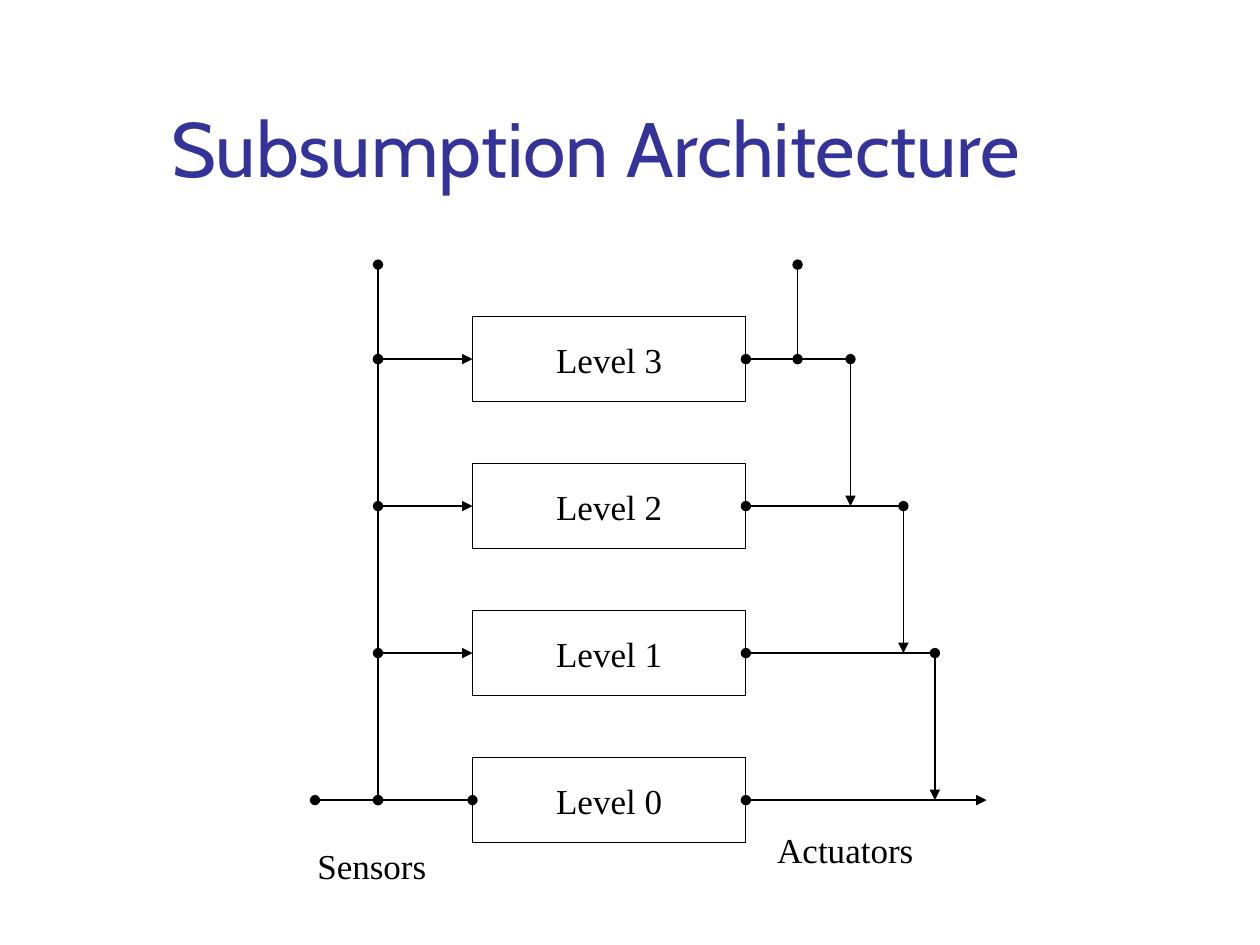
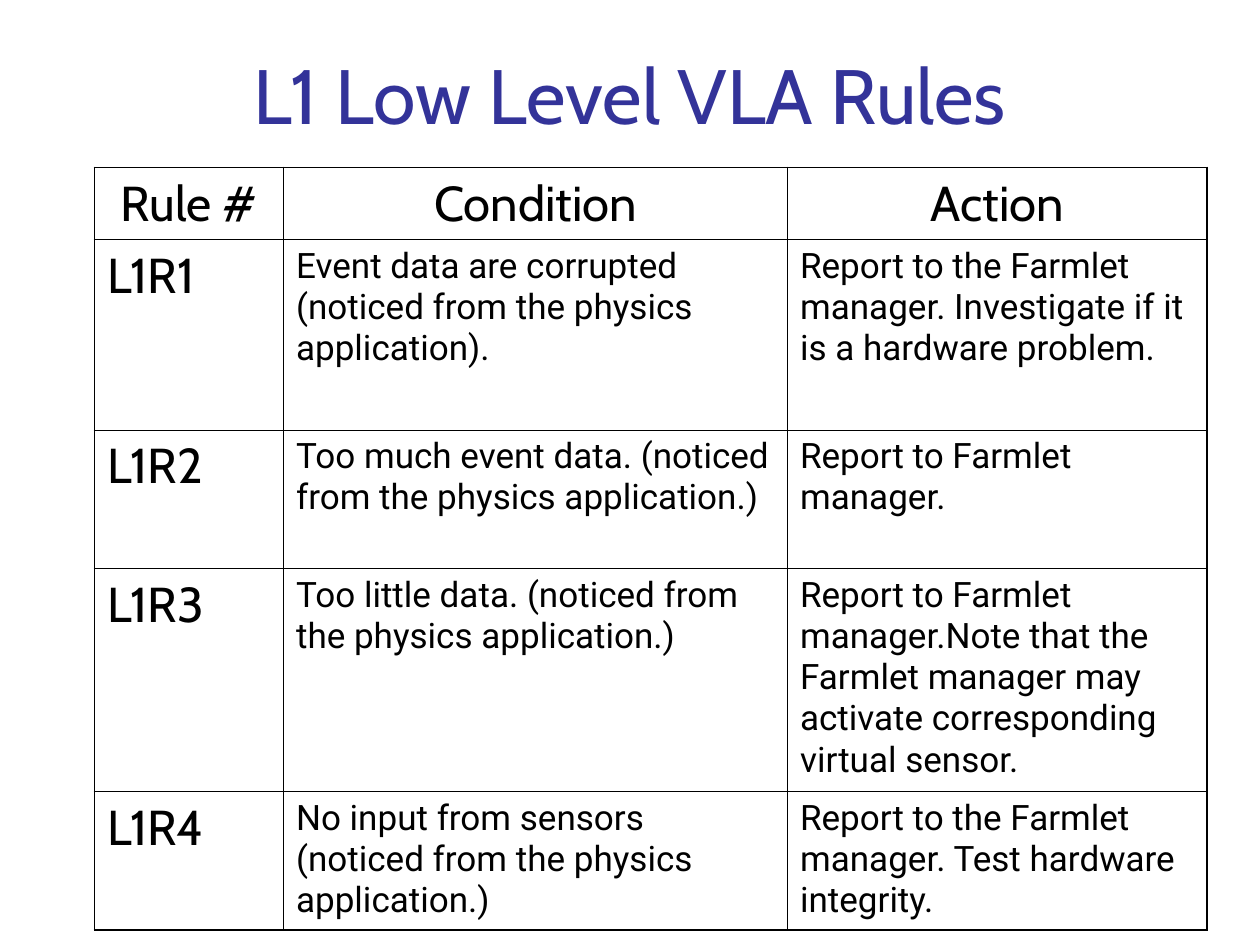
from pptx import Presentation
from pptx.dml.color import RGBColor
from pptx.enum.shapes import MSO_CONNECTOR, MSO_SHAPE
from pptx.enum.text import MSO_ANCHOR, MSO_AUTO_SIZE, PP_ALIGN
from pptx.oxml import parse_xml
from pptx.oxml.ns import nsdecls, qn
from pptx.util import Inches, Pt

BLACK, TITLE_BLUE = "000000", "333399"
HEADING_FONT, BODY_FONT, DIAGRAM_FONT = "Cabin", "Roboto", "Times New Roman"
TITLE_ONLY = 5

# Diagram geometry in inches
LEVELS = ["Level 3", "Level 2", "Level 1", "Level 0"]
LEVEL_LEFT, LEVEL_WIDTH, LEVEL_HEIGHT = 3.75, 2.17, 0.67
LEVEL_RIGHT = LEVEL_LEFT + LEVEL_WIDTH
FIRST_LEVEL_Y, LAST_LEVEL_Y = 2.85, 6.35
LEVEL_PITCH = (LAST_LEVEL_Y - FIRST_LEVEL_Y) / (len(LEVELS) - 1)
TOP_Y = 2.1
SENSOR_BUS_X, SENSOR_INPUT_X = 3, 2.5
UPPER_OUTPUT_X = 6.33
OUTPUT_ENDS = [6.75, 7.17, 7.42, 7.83]

# Rules table
COLUMN_WIDTHS = [1.5, 4, 3.33]
ROW_HEIGHTS = [0.57, 1.51, 1.1, 1.77, 1.1]
OUTER_BORDER, INNER_BORDER = 1.08, 0.45
RULES = [
    ("Rule #", "Condition", "Action"),
    ("L1R1",
     "Event data are corrupted (noticed from the physics application).",
     "Report to the Farmlet manager. Investigate if it is a hardware problem."),
    ("L1R2",
     "Too much event data. (noticed from the physics application.)",
     "Report to Farmlet manager."),
    ("L1R3",
     "Too little data. (noticed from the physics application.)",
     "Report to Farmlet manager.Note that the Farmlet manager may activate "
     "corresponding virtual sensor."),
    ("L1R4",
     "No input from sensors (noticed from the physics application.)",
     "Report to the Farmlet manager. Test hardware integrity."),
]


def rgb(hex_colour):
    return RGBColor.from_string(hex_colour)


def write(frame, text, font, size, colour=BLACK, align=PP_ALIGN.LEFT):
    paragraph = frame.paragraphs[0]
    paragraph.alignment = align
    run = paragraph.add_run()
    run.text = text
    run.font.name = font
    run.font.size = Pt(size)
    run.font.color.rgb = rgb(colour)


def add_titled_slide(prs, text, box, align):
    slide = prs.slides.add_slide(prs.slide_layouts[TITLE_ONLY])
    title = slide.shapes.title
    title.left, title.top, title.width, title.height = map(Inches, box)
    frame = title.text_frame
    frame.auto_size = MSO_AUTO_SIZE.NONE
    frame.vertical_anchor = MSO_ANCHOR.BOTTOM
    write(frame, text, HEADING_FONT, 44, TITLE_BLUE, align)
    return slide


def add_level(slide, text, center_y):
    level = slide.shapes.add_shape(
        MSO_SHAPE.RECTANGLE, Inches(LEVEL_LEFT),
        Inches(center_y - LEVEL_HEIGHT / 2),
        Inches(LEVEL_WIDTH), Inches(LEVEL_HEIGHT))
    level.shadow.inherit = False
    level.fill.background()
    level.line.color.rgb = rgb(BLACK)
    level.line.width = Pt(0.75)
    frame = level.text_frame
    frame.word_wrap = False
    frame.vertical_anchor = MSO_ANCHOR.MIDDLE
    write(frame, text, DIAGRAM_FONT, 20, align=PP_ALIGN.CENTER)


def add_wire(slide, start, end, head=None, tail=None):
    """Draw a line with optional end marks ("oval" or "triangle")."""
    wire = slide.shapes.add_connector(
        MSO_CONNECTOR.STRAIGHT, *map(Inches, (*start, *end)))
    wire.line.color.rgb = rgb(BLACK)
    wire.line.width = Pt(0.75)
    properties = wire._element.spPr
    outline = properties.find(qn("a:ln"))
    for tag, mark in (("headEnd", head), ("tailEnd", tail)):
        if mark:
            outline.append(parse_xml(
                f'<a:{tag} {nsdecls("a")} type="{mark}"/>'))
    properties.append(parse_xml(f'<a:effectLst {nsdecls("a")}/>'))


def add_label(slide, text, left, top, width):
    label = slide.shapes.add_textbox(
        Inches(left), Inches(top), Inches(width), Inches(0.44))
    frame = label.text_frame
    frame.word_wrap = False
    frame.auto_size = MSO_AUTO_SIZE.NONE
    write(frame, text, DIAGRAM_FONT, 20)


def set_borders(cell, outer_sides):
    """Give the cell thin borders, and thick ones on the outer sides."""
    properties = cell._tc.get_or_add_tcPr()
    for side in "LRTB":
        width = Pt(OUTER_BORDER if side in outer_sides else INNER_BORDER)
        properties.append(parse_xml(
            f'<a:ln{side} {nsdecls("a")} w="{width}"><a:solidFill>'
            f'<a:srgbClr val="{BLACK}"/></a:solidFill></a:ln{side}>'))


def add_rules_table(slide, left, top):
    table = slide.shapes.add_table(
        len(RULES), len(COLUMN_WIDTHS), Inches(left), Inches(top),
        Inches(sum(COLUMN_WIDTHS)), Inches(sum(ROW_HEIGHTS))).table
    table.first_row = table.horz_banding = False
    for column, width in zip(table.columns, COLUMN_WIDTHS):
        column.width = Inches(width)
    for row, height in zip(table.rows, ROW_HEIGHTS):
        row.height = Inches(height)
    last_row, last_column = len(RULES) - 1, len(COLUMN_WIDTHS) - 1
    for r, rule in enumerate(RULES):
        for c, text in enumerate(rule):
            cell = table.cell(r, c)
            edges = {"L": c == 0, "R": c == last_column,
                     "T": r == 0, "B": r == last_row}
            set_borders(cell, [side for side, outer in edges.items() if outer])
            cell.fill.background()
            is_heading = r == 0 or c == 0
            write(cell.text_frame, text,
                  HEADING_FONT if is_heading else BODY_FONT,
                  28 if is_heading else 20,
                  align=PP_ALIGN.CENTER if r == 0 else PP_ALIGN.LEFT)


def build_architecture(prs):
    slide = add_titled_slide(prs, "Subsumption Architecture",
                             (1.26, 0.33, 8.52, 1.25), PP_ALIGN.LEFT)
    level_ys = [FIRST_LEVEL_Y + i * LEVEL_PITCH for i in range(len(LEVELS))]
    for text, y, output_x in zip(LEVELS, level_ys, OUTPUT_ENDS):
        is_last = y == level_ys[-1]
        add_level(slide, text, y)
        add_wire(slide, (SENSOR_BUS_X, y), (LEVEL_LEFT, y),
                 "oval", "oval" if is_last else "triangle")
        add_wire(slide, (LEVEL_RIGHT, y), (output_x, y),
                 "oval", "triangle" if is_last else "oval")
        if not is_last:
            add_wire(slide, (output_x, y), (output_x, y + LEVEL_PITCH),
                     tail="triangle")

    add_wire(slide, (SENSOR_BUS_X, LAST_LEVEL_Y), (SENSOR_BUS_X, FIRST_LEVEL_Y))
    add_wire(slide, (SENSOR_BUS_X, LAST_LEVEL_Y),
             (SENSOR_INPUT_X, LAST_LEVEL_Y), "oval", "oval")
    for x in (SENSOR_BUS_X, UPPER_OUTPUT_X):
        add_wire(slide, (x, TOP_Y), (x, FIRST_LEVEL_Y), "oval", "oval")
    add_label(slide, "Sensors", 2.42, 6.65, 1.1)
    add_label(slide, "Actuators", 6.07, 6.53, 1.3)


def build_rules(prs):
    slide = add_titled_slide(prs, "L1 Low Level VLA Rules",
                             (0.75, 0.33, 8.5, 0.83), PP_ALIGN.CENTER)
    add_rules_table(slide, 0.75, 1.33)


def main():
    prs = Presentation()
    prs.slide_width, prs.slide_height = Inches(10), Inches(7.5)
    build_architecture(prs)
    build_rules(prs)
    prs.save("out.pptx")


if __name__ == "__main__":
    main()
